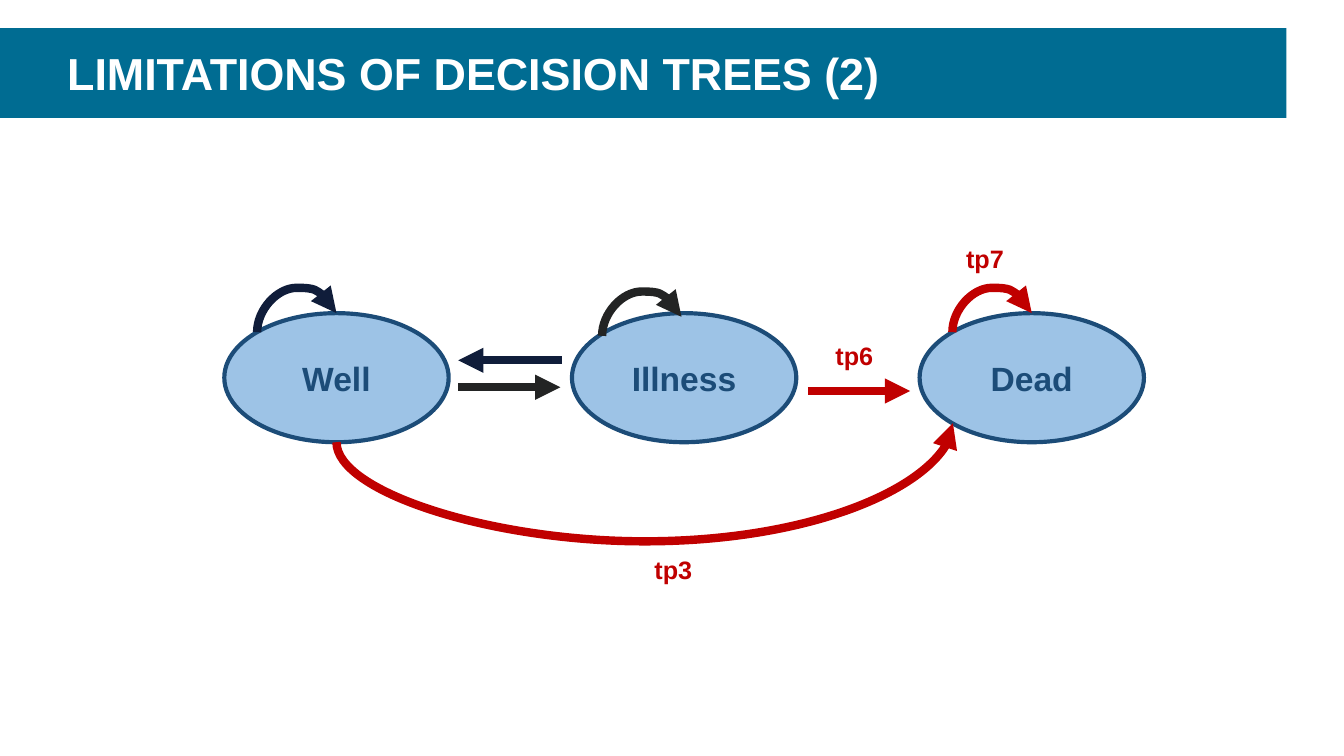
import pptx
import pptx.dml.color
import pptx.enum.shapes
import pptx.enum.text
import pptx.oxml
import pptx.oxml.ns
import pptx.util

Cm = pptx.util.Cm
Pt = pptx.util.Pt
RGBColor = pptx.dml.color.RGBColor
qn = pptx.oxml.ns.qn
SHAPE = pptx.enum.shapes.MSO_SHAPE
CONNECTOR = pptx.enum.shapes.MSO_CONNECTOR
ALIGN = pptx.enum.text.PP_ALIGN
ANCHOR = pptx.enum.text.MSO_ANCHOR
AUTO_SIZE = pptx.enum.text.MSO_AUTO_SIZE

TEAL = RGBColor(0x00, 0x6C, 0x92)
WHITE = RGBColor(0xFF, 0xFF, 0xFF)
LIGHT_BLUE = RGBColor(0x9D, 0xC3, 0xE6)
DARK_BLUE = RGBColor(0x1C, 0x4C, 0x78)
NAVY = RGBColor(0x10, 0x1D, 0x3A)
CHARCOAL = RGBColor(0x23, 0x24, 0x24)
RED = RGBColor(0xC0, 0x00, 0x00)

STATE_LEFT, STATE_TOP, STATE_STEP = 4.24, 5.92, 6.57
STATE_WIDTH, STATE_HEIGHT = 4.24, 2.44
CURVE_RISE = 0.36


def write(box, text, size, color, align=ALIGN.LEFT):
    """Put one bold line of text into a shape."""
    para = box.text_frame.paragraphs[0]
    para.alignment = align
    span = para.add_run()
    span.text = text
    span.font.name = "Arial"
    span.font.size = Pt(size)
    span.font.bold = True
    span.font.color.rgb = color


def add_title(page, text):
    """Turn the title placeholder into the heading band."""
    box = page.shapes.title
    box.left, box.top, box.width, box.height = Cm(0), Cm(0.53), Cm(24.31), Cm(1.7)
    box.fill.solid()
    box.fill.fore_color.rgb = TEAL
    frame = box.text_frame
    frame.auto_size = AUTO_SIZE.NONE
    frame.vertical_anchor = ANCHOR.MIDDLE
    frame.margin_left = Cm(1.27)
    frame.margin_top = frame.margin_right = frame.margin_bottom = 0
    write(box, text, 24, WHITE)


def add_state(page, name, left):
    """Draw one health state as an ellipse."""
    box = page.shapes.add_shape(
        SHAPE.OVAL, Cm(left), Cm(STATE_TOP), Cm(STATE_WIDTH), Cm(STATE_HEIGHT))
    box.shadow.inherit = False
    box.fill.solid()
    box.fill.fore_color.rgb = LIGHT_BLUE
    box.line.color.rgb = DARK_BLUE
    box.line.width = Pt(2.25)
    box.text_frame.vertical_anchor = ANCHOR.MIDDLE
    write(box, name, 18, DARK_BLUE, ALIGN.CENTER)


def add_arrow(page, kind, start, end, color):
    """Draw a thick connector with a triangular head at its end."""
    arrow = page.shapes.add_connector(kind, *map(Cm, start + end))
    arrow.line.color.rgb = color
    arrow.line.width = Pt(4.5)
    line = arrow.line._get_or_add_ln()
    line.append(pptx.oxml.parse_xml(
        f'<a:tailEnd {pptx.oxml.ns.nsdecls("a")} type="triangle"/>'))
    properties = arrow.element.spPr
    properties.append(pptx.oxml.parse_xml(
        f'<a:effectLst {pptx.oxml.ns.nsdecls("a")}/>'))
    return arrow


def add_curve(page, start, run, bend, color):
    """Draw a curved arrow that ends one rise higher, run to the right."""
    center_x = start[0] + run / 2
    center_y = start[1] - CURVE_RISE / 2
    half_width, half_height = CURVE_RISE / 2, run / 2
    arrow = add_arrow(
        page, CONNECTOR.CURVE,
        (center_x + half_width, center_y + half_height),
        (center_x - half_width, center_y - half_height), color)
    properties = arrow.element.spPr
    properties.find(qn("a:xfrm")).set("rot", "5400000")
    geometry = properties.find(qn("a:prstGeom"))
    guides = geometry.find(qn("a:avLst"))
    guides.append(pptx.oxml.parse_xml(
        f'<a:gd {pptx.oxml.ns.nsdecls("a")} name="adj1" fmla="val {bend}"/>'))


def add_label(page, text, left, top):
    """Add the name of a transition probability."""
    box = page.shapes.add_textbox(Cm(left), Cm(top), Cm(1.24), Cm(0.84))
    box.text_frame.word_wrap = False
    box.text_frame.auto_size = AUTO_SIZE.SHAPE_TO_FIT_TEXT
    write(box, text, 13.5, RED)


def main():
    """Build the state transition slide."""
    deck = pptx.Presentation()
    deck.slide_width, deck.slide_height = Cm(25.4), Cm(14.29)
    page = deck.slides.add_slide(deck.slide_layouts[0])
    subtitle = page.placeholders[1].element
    subtitle.getparent().remove(subtitle)
    add_title(page, "LIMITATIONS OF DECISION TREES (2)")

    for index, name in enumerate(("Well", "Illness", "Dead")):
        add_state(page, name, STATE_LEFT + index * STATE_STEP)

    for start, end, color in (
        ((8.66, 7.32), (10.59, 7.32), CHARCOAL),
        ((10.62, 6.81), (8.66, 6.81), NAVY),
        ((15.27, 7.39), (17.2, 7.39), RED),
    ):
        add_arrow(page, CONNECTOR.STRAIGHT, start, end, color)

    for start, run, bend, color in (
        ((4.86, 6.28), 1.5, 232900, NAVY),
        ((11.38, 6.35), 1.5, 232900, CHARCOAL),
        ((18, 6.28), 1.5, 232900, RED),
        ((6.36, 8.36), 11.65, -520600, RED),
    ):
        add_curve(page, start, run, bend, color)

    for text, left, top in (
        ("tp3", 12.12, 10.36), ("tp7", 18.01, 4.47), ("tp6", 15.54, 6.3),
    ):
        add_label(page, text, left, top)
    deck.save("out.pptx")


if __name__ == "__main__":
    main()
